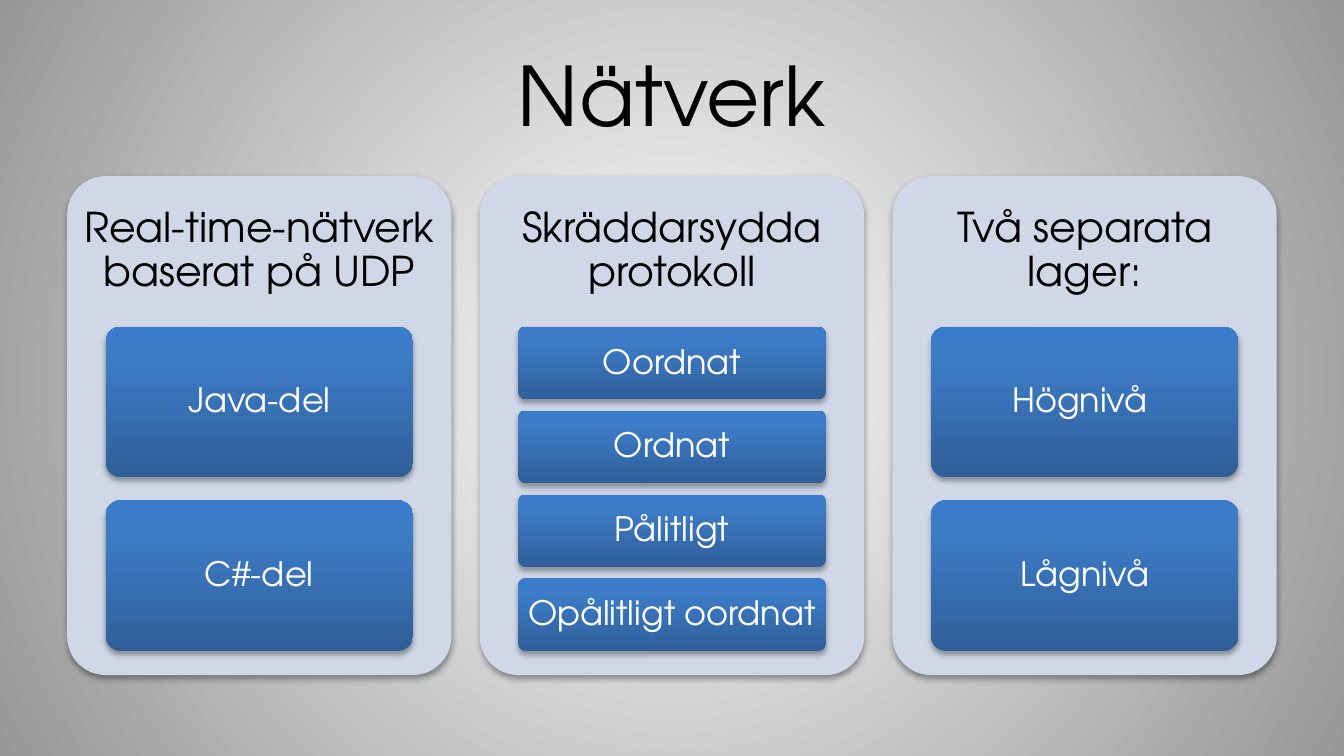
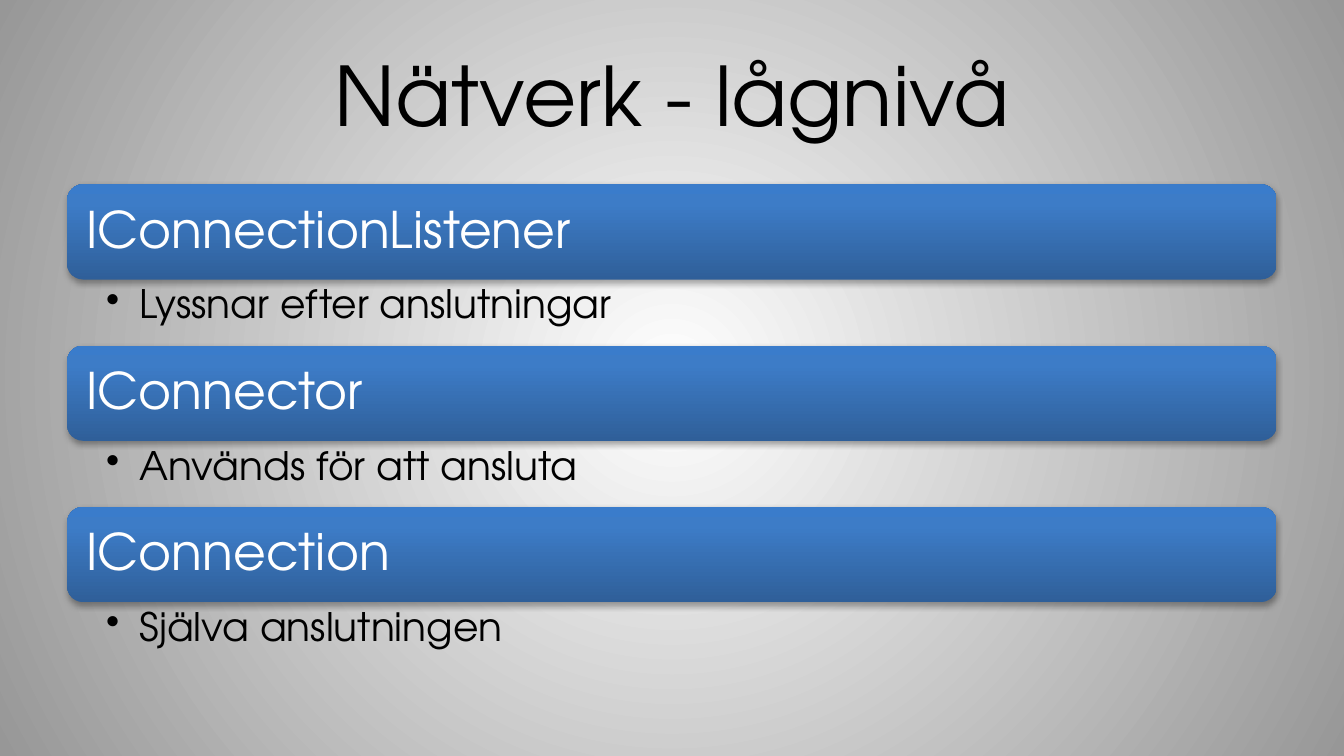
from lxml import etree
from pptx import Presentation
from pptx.dml.color import RGBColor
from pptx.enum.shapes import MSO_SHAPE
from pptx.enum.text import MSO_ANCHOR, PP_ALIGN
from pptx.oxml.ns import qn
from pptx.util import Inches, Pt

ROUND = MSO_SHAPE.ROUNDED_RECTANGLE
TOP, MIDDLE = MSO_ANCHOR.TOP, MSO_ANCHOR.MIDDLE
LEFT, CENTER = PP_ALIGN.LEFT, PP_ALIGN.CENTER

FONT = "TeX Gyre Adventor"
COLORS = {
    "text": "000000", "light": "FFFFFF", "panel": "D0D8E8",
    "bg_in": "FFFFFF", "bg_out": "979797",
    "blue_dark": "2F5F99", "blue_mid": "3D7CC7", "blue_top": "3A7CCB",
}
BLUE_STOPS = [(0, "blue_dark"), (80, "blue_mid"), (100, "blue_top")]
BG_STOPS = [(0, "bg_in"), (100, "bg_out")]

# Shared page grid, in inches
W, H = 10, 5.625
MARGIN = W * 0.05
CONTENT_W = W - 2 * MARGIN
TITLE_BOX = (MARGIN, H * 0.04, CONTENT_W, H / 6)

prs = Presentation()
prs.slide_width, prs.slide_height = Inches(W), Inches(H)


def add_xml(parent, tag, **attrs):
    return etree.SubElement(parent, qn(tag), {k: str(v) for k, v in attrs.items()})


def set_stops(grad, stops):
    """Replace the content of a gradient with the given stops."""
    for child in list(grad):
        grad.remove(child)
    stop_list = add_xml(grad, "a:gsLst")
    for pos, color in stops:
        gs = add_xml(stop_list, "a:gs", pos=pos * 1000)
        add_xml(gs, "a:srgbClr", val=COLORS[color])


def write(sp, text, size, color, align=CENTER, anchor=MIDDLE,
          insets=(0.1, 0.05, 0.1, 0.05), spacing=0.9, after=0.35):
    tf = sp.text_frame
    tf.word_wrap = True
    tf.vertical_anchor = anchor
    (tf.margin_left, tf.margin_top,
     tf.margin_right, tf.margin_bottom) = (Inches(i) for i in insets)
    p = tf.paragraphs[0]
    p.text = text
    p.alignment = align
    p.line_spacing = spacing
    p.space_after = Pt(size * after)
    font = p.runs[0].font
    font.name, font.size = FONT, Pt(size)
    font.color.rgb = RGBColor.from_string(COLORS[color])
    return p


def text_box(s, box, *args, **kwargs):
    sp = s.shapes.add_textbox(*(Inches(v) for v in box))
    return write(sp, *args, **kwargs)


def card(s, box, radius, color=None):
    """Rounded box with a soft shadow: plain colour, or the blue gradient."""
    sp = s.shapes.add_shape(ROUND, *(Inches(v) for v in box))
    sp.adjustments[0] = radius
    sp.line.fill.background()
    if color:
        sp.fill.solid()
        sp.fill.fore_color.rgb = RGBColor.from_string(COLORS[color])
    else:
        sp.fill.gradient()
        grad = sp.element.spPr.find(qn("a:gradFill"))
        set_stops(grad, BLUE_STOPS)
        add_xml(grad, "a:lin", ang=270 * 60000, scaled=0)
    sp.shadow.inherit = False
    shadow = add_xml(sp.element.spPr.find(qn("a:effectLst")), "a:outerShdw",
                     blurRad=Pt(3.1), dist=Pt(1.8), dir=90 * 60000, rotWithShape=0)
    add_xml(add_xml(shadow, "a:srgbClr", val=COLORS["text"]), "a:alpha", val=35000)
    return sp


def new_slide(title):
    """Slide with the radial background and the centred title."""
    s = prs.slides.add_slide(prs.slide_layouts[6])
    s.background.fill.gradient()
    grad = s.element.find(".//" + qn("a:gradFill"))
    set_stops(grad, BG_STOPS)
    circle = add_xml(grad, "a:path", path="circle")
    add_xml(circle, "a:fillToRect", l=50000, t=50000, r=50000, b=50000)
    text_box(s, TITLE_BOX, title, 44, "text", spacing=1.0, after=0)
    return s


def panel(s, box, heading, items):
    """Pale panel: heading in the top 30 %, tiles stacked in the next 65 %."""
    x, y, w, h = box
    card(s, box, 0.1, "panel")
    text_box(s, (x, y, w, h * 0.3), heading, 22, "text", insets=(0.09,) * 4)
    gap_share = 2 / 13
    tile_h = h * 0.65 / (len(items) + (len(items) - 1) * gap_share)
    for i, item in enumerate(items):
        tile_y = y + h * 0.302 + i * tile_h * (1 + gap_share)
        tile = card(s, (x + w * 0.1, tile_y, w * 0.8, tile_h), 0.1)
        write(tile, item, 18, "light", insets=(0.05, 0.04, 0.05, 0.04))


def panel_row(s, box, panels):
    x, y, w, h = box
    gap = w * 0.0235
    panel_w = (w - gap * (len(panels) - 1)) / len(panels)
    for i, (heading, items) in enumerate(panels):
        panel(s, (x + i * (panel_w + gap), y, panel_w, h), heading, items)


def bar_list(s, box, entries):
    """Equal rows, each a blue bar with a bullet line below it."""
    x, y, w, h = box
    row_h = h / len(entries)
    bar_h = row_h * 0.59
    for i, (name, detail) in enumerate(entries):
        row_y = y + i * row_h
        bar = card(s, (x, row_y, w, bar_h), 0.1667)
        write(bar, name, 27, "light", align=LEFT, insets=(0.11,) * 4)
        p = text_box(s, (x, row_y + bar_h, w, row_h - bar_h), detail, 21, "text",
                     align=LEFT, anchor=TOP, insets=(0.29, 0.04, 0.21, 0.04),
                     after=0.2)
        # Hanging bullet
        pPr = p.runs[0].font and p._p.get_or_add_pPr()
        pPr.set("lvl", "1")
        pPr.set("marL", str(Inches(0.25)))
        pPr.set("indent", str(Inches(-0.25)))
        add_xml(pPr, "a:buChar", char="•")


# Slide 1: three panels
s = new_slide("Nätverk")
panel_row(s, (MARGIN, H * 0.233, CONTENT_W, H * 0.66), [
    ("Real-time-nätverk baserat på UDP", ["Java-del", "C#-del"]),
    ("Skräddarsydda protokoll",
     ["Oordnat", "Ordnat", "Pålitligt", "Opålitligt oordnat"]),
    ("Två separata lager:", ["Högnivå ", "Lågnivå"]),
])

# Slide 2: interfaces
s = new_slide("Nätverk - lågnivå")
bar_list(s, (MARGIN, H * 0.244, CONTENT_W, H * 0.64), [
    ("IConnectionListener", "Lyssnar efter anslutningar"),
    ("IConnector", "Används för att ansluta"),
    ("IConnection", "Själva anslutningen"),
])

prs.save("out.pptx")
